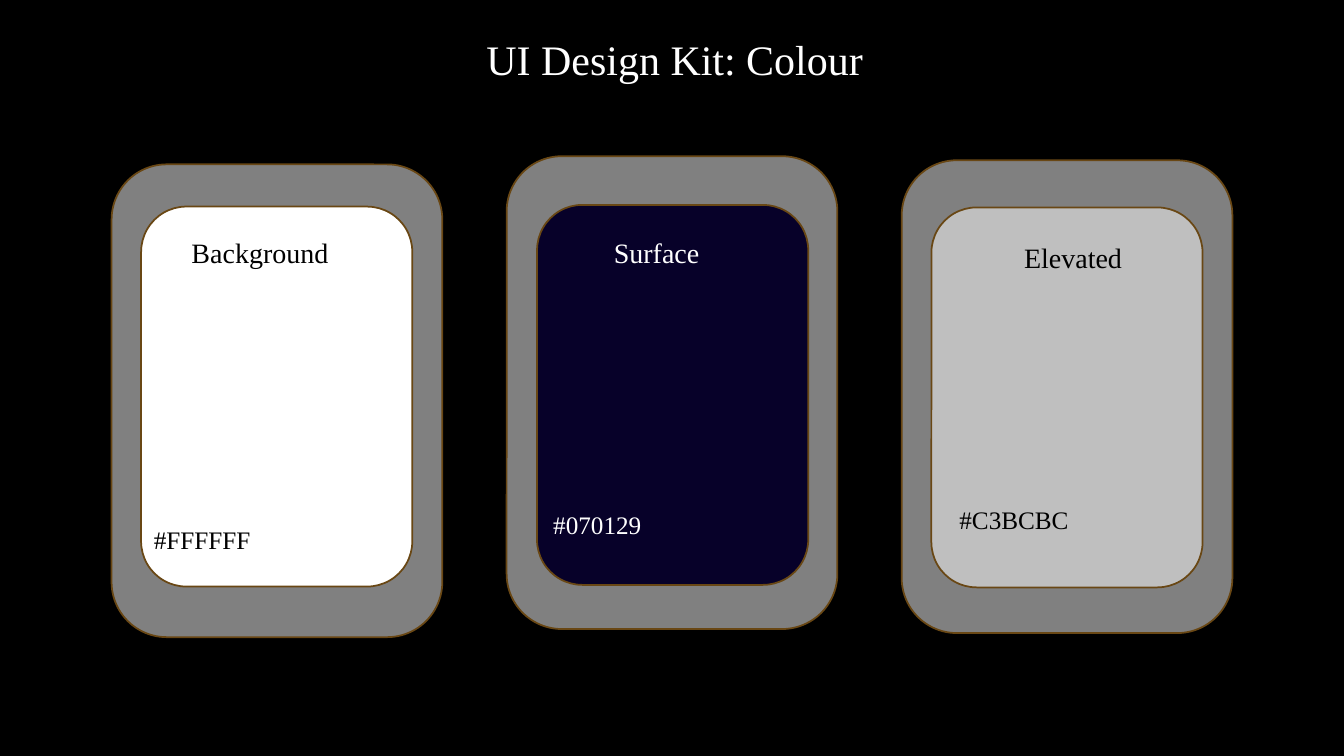
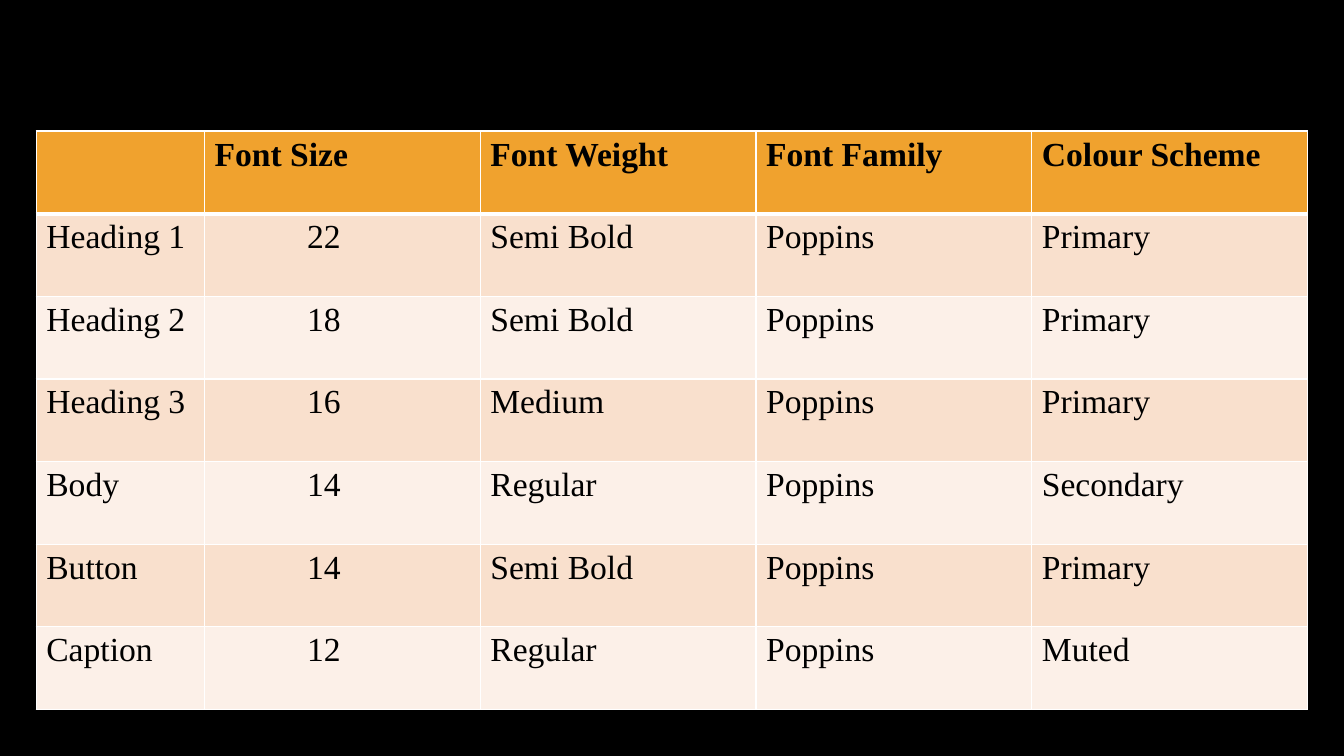
from lxml import etree
from pptx import Presentation
from pptx.dml.color import RGBColor
from pptx.enum.shapes import MSO_SHAPE
from pptx.enum.text import PP_ALIGN
from pptx.oxml.ns import qn
from pptx.util import Pt

ROUNDED = MSO_SHAPE.ROUNDED_RECTANGLE
CENTER = PP_ALIGN.CENTER

FONT = "Times New Roman"
BLACK, WHITE = "000000", "FFFFFF"
FRAME_GREY, OUTLINE = "808080", "694714"
HEADER_FILL = "F0A22E"
BAND_FILLS = ("F9E0CD", "FCF0E8")

FRAME_LEFT, FRAME_STEP = 79.7, 282.2
FRAME_SIZE = (236.2, 337.7)
SWATCH_SIZE = (193.7, 271.4)

# fill, text colour, frame top, swatch left and top,
# then name and code, each with its left, top and width
COLOUR_CARDS = [
    (WHITE, BLACK, 117.4, 100.8, 147.6,
     ("Background", 129.6, 164.9, 112.3), ("#FFFFFF", 101.5, 370.8, 85.7)),
    ("070129", WHITE, 111.6, 383.6, 146.4,
     ("Surface", 415.4, 164.9, 107.3), ("#070129", 373, 360, 107.3)),
    ("BFBFBF", BLACK, 114.5, 665.3, 148.2,
     ("Elevated", 722.2, 168.5, 88.6), ("#C3BCBC", 666, 356.4, 116.6)),
]

COLUMN_WIDTHS = [120.2, 197, 197, 197, 197]
ROW_HEIGHT = 59.04
SIZE_COLUMN, SIZE_INDENT = 1, 73.2
TYPE_STYLES = [
    ("", "Font Size", "Font Weight", "Font Family", "Colour Scheme"),
    ("Heading 1", "22", "Semi Bold", "Poppins", "Primary"),
    ("Heading 2", "18", "Semi Bold", "Poppins", "Primary"),
    ("Heading 3", "16", "Medium", "Poppins", "Primary"),
    ("Body", "14", "Regular", "Poppins", "Secondary"),
    ("Button", "14", "Semi Bold", "Poppins", "Primary"),
    ("Caption", "12", "Regular", "Poppins", "Muted"),
]


def rgb(value):
    return RGBColor.from_string(value)


def paint(fill, colour):
    fill.solid()
    fill.fore_color.rgb = rgb(colour)


def style_font(font, size, colour, bold=False):
    formats = {"name": FONT, "size": Pt(size), "bold": bold}
    for attribute, value in formats.items():
        setattr(font, attribute, value)
    font.color.rgb = rgb(colour)


def add_label(slide, text, left, top, width, size, colour):
    """Add one centred line of text, as tall as its font needs."""
    label = slide.shapes.add_textbox(Pt(left), Pt(top), Pt(width), Pt(size * 1.2 + 7.2))
    frame = label.text_frame
    for attribute, value in {"word_wrap": True, "margin_left": 0, "margin_right": 0}.items():
        setattr(frame, attribute, value)
    paragraph = frame.paragraphs[0]
    paragraph.text = text
    paragraph.alignment = CENTER
    style_font(paragraph.font, size, colour)


def add_panel(slide, left, top, size, colour):
    panel = slide.shapes.add_shape(ROUNDED, Pt(left), Pt(top), *map(Pt, size))
    panel.shadow.inherit = False
    paint(panel.fill, colour)
    panel.line.color.rgb = rgb(OUTLINE)
    panel.line.width = Pt(1.25)


def add_borders(cell, bottom_width):
    """Rule all four sides in white; call before the cell is filled."""
    properties = cell._tc.get_or_add_tcPr()
    for side, width in (("L", 1), ("R", 1), ("T", 1), ("B", bottom_width)):
        border = etree.SubElement(properties, qn(f"a:ln{side}"), w=str(Pt(width)))
        fill = etree.SubElement(border, qn("a:solidFill"))
        etree.SubElement(fill, qn("a:srgbClr"), val=WHITE)


def add_type_table(slide, left, top):
    table = slide.shapes.add_table(
        len(TYPE_STYLES), len(COLUMN_WIDTHS), Pt(left), Pt(top),
        Pt(sum(COLUMN_WIDTHS)), Pt(ROW_HEIGHT * len(TYPE_STYLES))).table
    table.horz_banding = False
    for column, width in zip(table.columns, COLUMN_WIDTHS):
        column.width = Pt(width)
    for row_index, values in enumerate(TYPE_STYLES):
        is_header = row_index == 0
        table.rows[row_index].height = Pt(ROW_HEIGHT)
        for column_index, value in enumerate(values):
            cell = table.cell(row_index, column_index)
            add_borders(cell, 3 if is_header else 1)
            paint(cell.fill, HEADER_FILL if is_header else BAND_FILLS[(row_index - 1) % 2])
            if column_index == SIZE_COLUMN and not is_header:
                cell.margin_left = Pt(SIZE_INDENT)
            cell.text = value
            style_font(cell.text_frame.paragraphs[0].font, 24, BLACK, is_header)


def add_colour_cards(slide):
    for index, (fill, ink, frame_top, left, top, name, code) in enumerate(COLOUR_CARDS):
        add_panel(slide, FRAME_LEFT + index * FRAME_STEP, frame_top, FRAME_SIZE, FRAME_GREY)
        add_panel(slide, left, top, SWATCH_SIZE, fill)
        add_label(slide, *name, 20, ink)
        add_label(slide, *code, 18, ink)


def main():
    deck = Presentation()
    deck.slide_width, deck.slide_height = Pt(960), Pt(540)
    paint(deck.slide_master.background.fill, BLACK)
    blank = deck.slide_layouts[6]

    colour_slide = deck.slides.add_slide(blank)
    add_label(colour_slide, "UI Design Kit: Colour", 241.9, 20.2, 480.2, 30, WHITE)
    add_colour_cards(colour_slide)

    type_slide = deck.slides.add_slide(blank)
    add_type_table(type_slide, 25.9, 93.6)

    deck.save("out.pptx")


if __name__ == "__main__":
    main()
